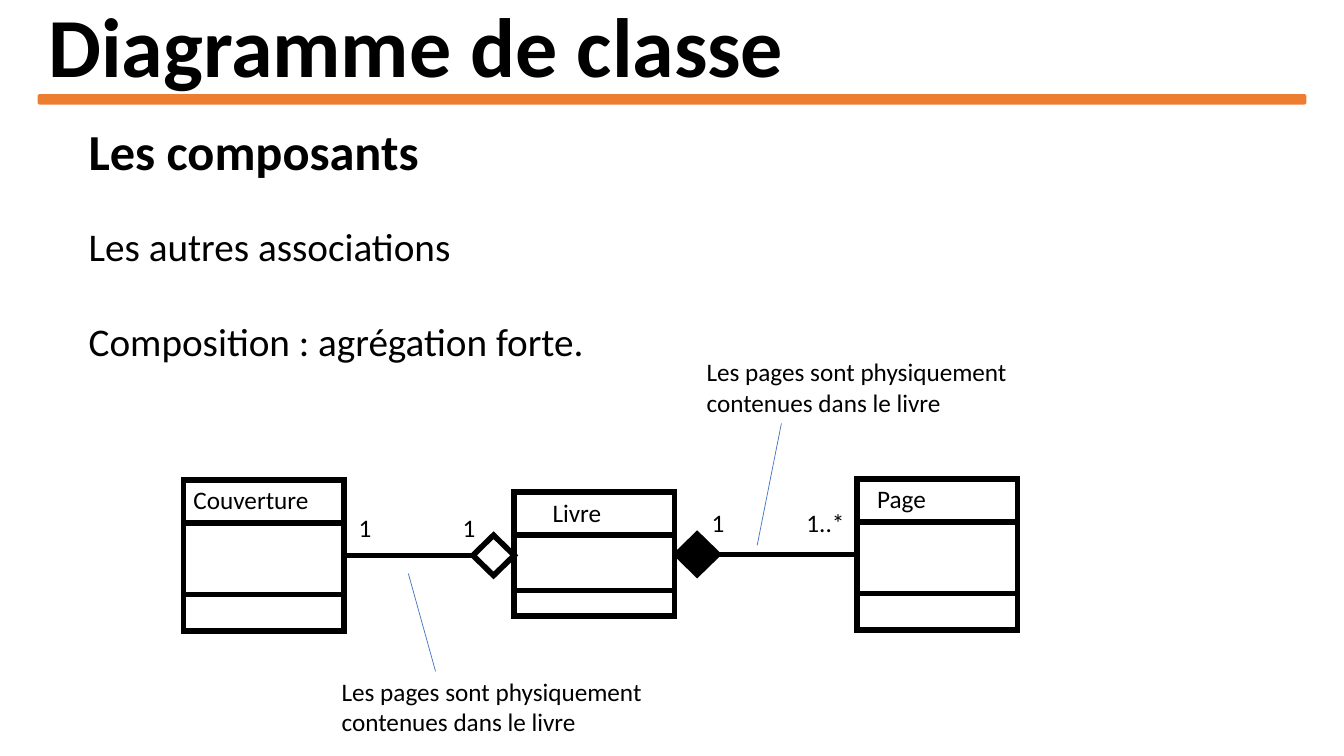
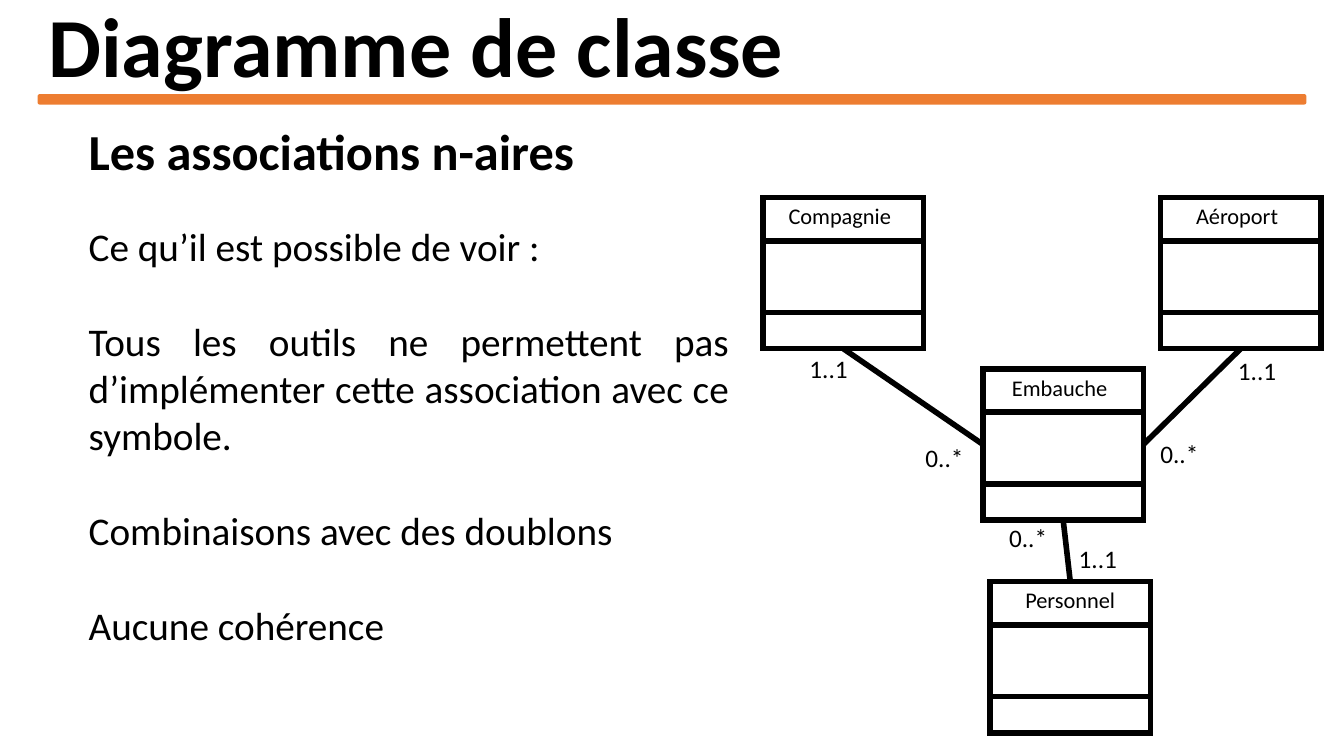
"""Builds two slides on UML class diagrams: composition and n-ary associations."""
from dataclasses import dataclass

from lxml.etree import SubElement
from pptx import Presentation
from pptx.dml.color import RGBColor
from pptx.enum.shapes import MSO_CONNECTOR as Link, MSO_SHAPE as Preset
from pptx.enum.text import MSO_ANCHOR as Anchor, MSO_AUTO_SIZE as Fit, PP_ALIGN as Align
from pptx.oxml.ns import qn
from pptx.util import Inches, Pt


@dataclass(frozen=True)
class Theme:
    font: str = "Calibri"
    ink: str = "000000"
    paper: str = "FFFFFF"
    accent: str = "ED7D31"
    pointer: str = "4472C4"
    title: int = 60
    heading: int = 36
    body: int = 28
    label: int = 18
    small: int = 16
    stroke: float = 4
    hairline: float = 0.5


THEME = Theme()
WIDTH, HEIGHT = 13.33, 7.5
MARGIN, INDENT = 0.38, 0.78
CLASS_WIDTH, CLASS_HEIGHT, NAME_ROW, METHOD_ROW = 1.59, 1.5, 0.43, 0.36
DIAMOND_WIDTH, DIAMOND_HEIGHT = 0.41, 0.4
TOP, LEFT, BOTTOM, RIGHT = range(4)

TITLE = "Diagramme de classe"
CALLOUT = "Les pages sont physiquement contenues dans le livre"
CENTERED = dict(size=THEME.small, align=Align.CENTER, insets=(0.1, 0.17))

SLIDES = [
    dict(
        heading="Les composants",
        body_box=(5.43, 1.51),
        body=["Les autres associations", "Composition : agrégation forte."],
        classes={
            "Couverture": dict(at=(1.82, 4.76)),
            "Page": dict(at=(8.5, 4.75), name=dict(insets=(0.2, 0))),
            "Livre": dict(at=(5.1, 4.88), height=1.23, method_row=0.25,
                          name=dict(insets=(0.38, 0))),
        },
        diamonds={
            "agrégation": (4.69, 5.31, THEME.paper),
            "composition": (6.71, 5.3, THEME.ink),
        },
        links=[("Couverture", RIGHT, "agrégation", LEFT),
               ("Page", LEFT, "composition", RIGHT)],
        roles=[("1", 3.46, 5.03), ("1", 4.49, 5.03),
               ("1", 6.96, 4.98), ("1..*", 7.9, 4.98)],
        callouts=[((6.91, 3.49), (7.75, 4.2), (7.51, 5.41)),
                  ((3.29, 6.66), (4.32, 6.66), (4.05, 5.69))],
    ),
    dict(
        heading="Les associations n-aires",
        body_box=(6.55, 4.34),
        body=["Ce qu’il est possible de voir :",
              "Tous les outils ne permettent pas d’implémenter cette association avec ce symbole.",
              "Combinaisons avec des doublons",
              "Aucune cohérence"],
        classes={
            "Compagnie": dict(at=(7.57, 1.96), name=CENTERED),
            "Aéroport": dict(at=(11.51, 1.96), name=CENTERED),
            "Embauche": dict(at=(9.75, 3.66), name=CENTERED),
            "Personnel": dict(at=(9.82, 5.77), name={**CENTERED, "insets": (0.1, 0.1)}),
        },
        diamonds={},
        links=[("Embauche", LEFT, "Compagnie", BOTTOM),
               ("Embauche", BOTTOM, "Personnel", TOP),
               ("Aéroport", BOTTOM, "Embauche", RIGHT)],
        roles=[("0..*", 9.08, 4.34), ("0..*", 9.91, 5.13), ("0..*", 11.41, 4.3),
               ("1..1", 7.93, 3.46), ("1..1", 10.6, 5.34), ("1..1", 12.18, 3.48)],
        callouts=[],
    ),
]


def rgb(code):
    return RGBColor.from_string(code)


def write(holder, *lines, size=THEME.label, bold=False, align=Align.LEFT,
          anchor=Anchor.TOP, insets=(0.1, 0.1), gap=0, spacing=1.0):
    frame = holder.text_frame
    frame.word_wrap, frame.auto_size = True, Fit.NONE
    frame.vertical_anchor = anchor
    frame.margin_left, frame.margin_right = map(Inches, insets)
    for index, line in enumerate(lines):
        entry = frame.paragraphs[0] if index == 0 else frame.add_paragraph()
        entry.text, entry.alignment = line, align
        entry.line_spacing = spacing
        entry.space_before, entry.space_after = Pt(gap if index else 0), Pt(0)
        if holder.is_placeholder:
            properties = entry._p.get_or_add_pPr()
            properties.set("marL", "0")
            properties.set("indent", "0")
            SubElement(properties, qn("a:buNone"))
        font = entry.font
        font.name, font.size, font.bold = THEME.font, Pt(size), bold
        font.color.rgb = rgb(THEME.ink)


def place(holder, left, top, width, height):
    holder.left, holder.top = Inches(left), Inches(top)
    holder.width, holder.height = Inches(width), Inches(height)


def add_label(slide, text, left, top, width, height, **style):
    box = slide.shapes.add_textbox(*map(Inches, (left, top, width, height)))
    write(box, text, **style)


def add_block(slide, preset, box, fill, line=THEME.ink, weight=THEME.stroke):
    block = slide.shapes.add_shape(preset, *map(Inches, box))
    block.shadow.inherit = False
    block.fill.solid()
    block.fill.fore_color.rgb = rgb(fill)
    block.line.color.rgb = rgb(line)
    block.line.width = Pt(weight)
    SubElement(block.line._get_or_add_ln(), qn("a:miter"), lim="800000")
    return block


def add_line(slide, start=(0, 0), end=(0, 0), color=THEME.ink, weight=THEME.stroke):
    line = slide.shapes.add_connector(Link.STRAIGHT, *map(Inches, start + end))
    line.line.color.rgb = rgb(color)
    line.line.width = Pt(weight)
    SubElement(line._element.spPr, qn("a:effectLst"))
    return line


def add_class(slide, title, at, height=CLASS_HEIGHT, method_row=METHOD_ROW, name=None):
    left, top = at
    block = add_block(slide, Preset.RECTANGLE, (left, top, CLASS_WIDTH, height), THEME.paper)
    write(block, title, **(name or {}))
    for divider in (top + NAME_ROW, top + height - method_row):
        add_line(slide, (left, divider), (left + CLASS_WIDTH, divider))
    return block


def add_frame(slide, heading, body, body_box):
    band_width = WIDTH - 2 * MARGIN
    place(slide.shapes.title, MARGIN, 0, band_width, 1)
    write(slide.shapes.title, TITLE, size=THEME.title, bold=True,
          anchor=Anchor.MIDDLE, spacing=0.9)
    add_block(slide, Preset.ROUNDED_RECTANGLE, (MARGIN, 0.94, band_width, 0.09),
              THEME.accent, THEME.accent, 1)
    add_label(slide, heading, INDENT, 1.14, WIDTH - 2 * INDENT, 0.71,
              size=THEME.heading, bold=True, align=Align.JUSTIFY)
    place(slide.placeholders[1], INDENT, 2.16, *body_box)
    write(slide.placeholders[1], *body, size=THEME.body, align=Align.JUSTIFY,
          gap=THEME.body * 1.22)


def add_diagram(slide, content):
    nodes = {title: add_class(slide, title, **layout)
             for title, layout in content["classes"].items()}
    for relation, (left, top, fill) in content["diamonds"].items():
        nodes[relation] = add_block(
            slide, Preset.DIAMOND, (left, top, DIAMOND_WIDTH, DIAMOND_HEIGHT), fill)
    for source, source_side, target, target_side in content["links"]:
        association = add_line(slide)
        association.begin_connect(nodes[source], source_side)
        association.end_connect(nodes[target], target_side)
    for multiplicity, left, top in content["roles"]:
        add_label(slide, multiplicity, left, top, 0.67, 0.4)
    for corner, start, end in content["callouts"]:
        add_label(slide, CALLOUT, *corner, 3.34, 0.71)
        add_line(slide, start, end, THEME.pointer, THEME.hairline)


def main():
    deck = Presentation()
    deck.slide_width, deck.slide_height = Inches(WIDTH), Inches(HEIGHT)
    for content in SLIDES:
        slide = deck.slides.add_slide(deck.slide_layouts[1])
        add_frame(slide, content["heading"], content["body"], content["body_box"])
        add_diagram(slide, content)
    deck.save("out.pptx")


if __name__ == "__main__":
    main()
